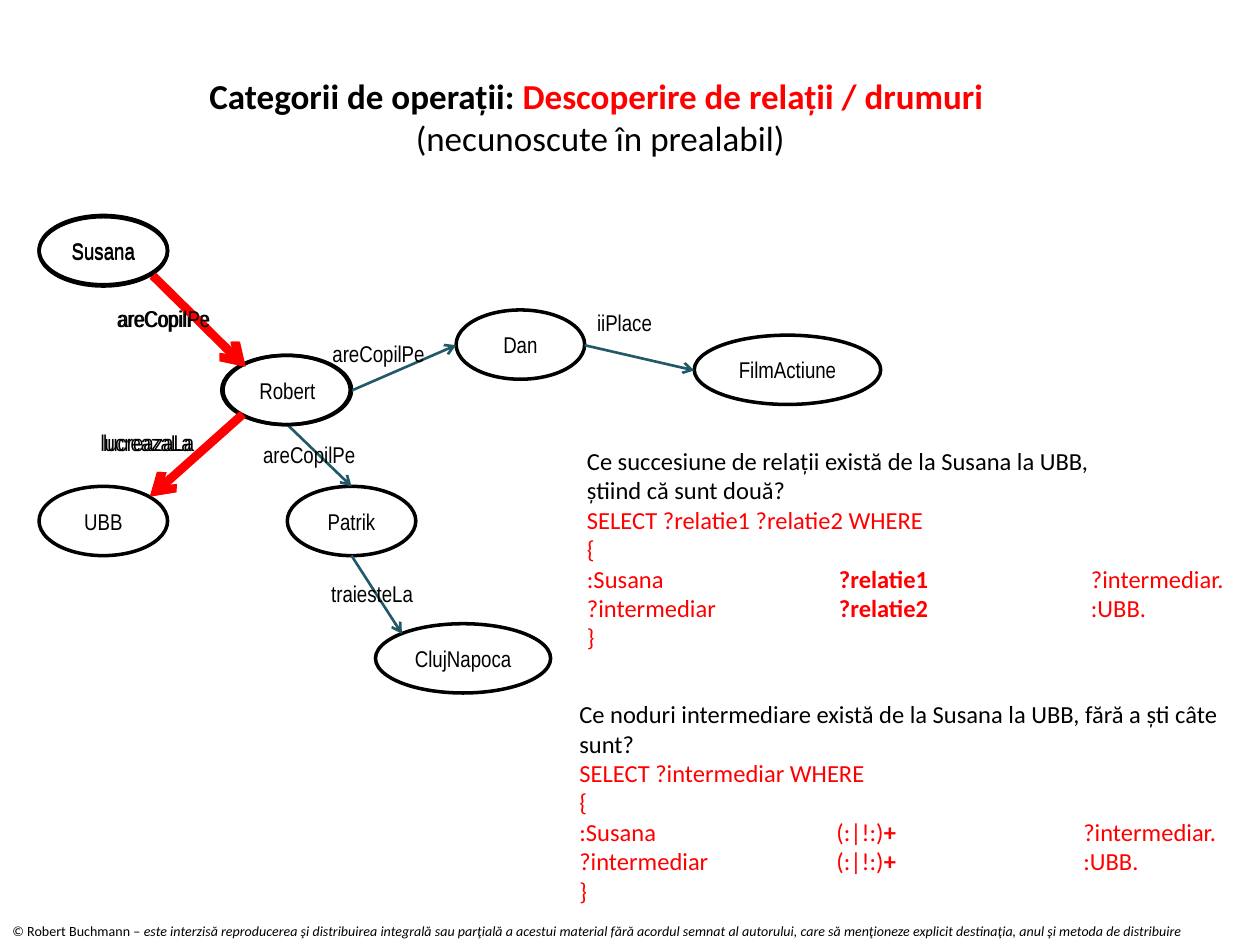
from dataclasses import dataclass

from lxml import etree
from pptx import Presentation
from pptx import util as u
from pptx.dml.color import RGBColor
from pptx.enum import shapes, text
from pptx.oxml.ns import qn

BLACK, RED, TEAL = "000000", "FF0000", "215968"
NODE_HEIGHT = 0.55
LABEL_HEIGHT = 0.32


@dataclass
class Node:
    name: str
    left: float
    top: float
    width: float = 1.02


@dataclass
class Edge:
    start: tuple[float, float]
    end: tuple[float, float]
    color: str = TEAL
    weight: float = 1.5


@dataclass
class Label:
    wording: str
    left: float
    top: float
    width: float = 1.21


@dataclass
class Piece:
    """A stretch of text with one format."""
    wording: str
    color: str = BLACK
    bold: bool = False
    italic: bool = False


NODES = [
    Node("Robert", 1.77, 2.82),
    Node("Dan", 3.62, 2.46),
    Node("FilmActiune", 5.51, 2.66, 1.48),
    Node("Susana", 0.31, 1.71),
    Node("ClujNapoca", 2.98, 4.95, 1.39),
    Node("Patrik", 2.28, 3.86),
]
EDGES = [
    Edge((1.19, 2.18), (1.92, 2.9)),
    Edge((2.79, 3.1), (3.62, 2.74)),
    Edge((4.64, 2.74), (5.51, 2.94)),
    Edge((2.28, 3.37), (2.79, 3.86)),
    Edge((1.92, 3.29), (1.19, 3.94)),
    Edge((2.79, 4.41), (3.19, 5.03)),
]
LABELS = [
    Label("areCopilPe", 2.54, 2.65),
    Label("areCopilPe", 0.83, 2.37),
    Label("areCopilPe", 1.99, 3.45),
    Label("lucreazaLa", 0.7, 3.35),
    Label("traiesteLa", 2.53, 4.55),
    Label("iiPlace", 4.64, 2.4, 1.69),
]

# The path from Susana to UBB, emphasised on top of the graph
PATH_EDGES = [
    Edge((1.21 + shift, 2.19), (1.94 + shift, 2.91), RED, 4.5) for shift in (0, 0.01)
] + [
    Edge((1.92 + shift, 3.29), (1.19 + shift, 3.94), RED, 4.5) for shift in (0, 0.01)
]
PATH_LABELS = [Label("lucreazaLa", 0.72, 3.35), Label("areCopilPe", 0.84, 2.37)]
PATH_NODES = [
    Node("Susana", 0.31, 1.72),
    Node("UBB", 0.31, 3.86),
    Node("", 1.76, 2.82),
]

TITLE = [
    [Piece("Categorii de operații: ", bold=True),
     Piece("Descoperire de relații / drumuri ", RED, bold=True)],
    [Piece("(necunoscute în prealabil)")],
]
FOOTER = [[
    Piece("© Robert Buchmann – "),
    Piece("este interzisă reproducerea şi distribuirea integrală sau parţială a acestui "
          "material fără acordul semnat al autorului, care să menţioneze explicit "
          "destinaţia, anul şi metoda de distribuire", italic=True),
]]
KNOWN_LENGTH_QUERY = [
    [Piece("Ce succesiune de relații există de la Susana la UBB,")],
    [Piece("știind că sunt două?")],
    [Piece("SELECT ?relatie1 ?relatie2 WHERE", RED)],
    [Piece("{", RED)],
    [Piece(":Susana\t", RED), Piece("?relatie1", RED, True), Piece("\t?intermediar.", RED)],
    [Piece("?intermediar\t", RED), Piece("?relatie2", RED, True), Piece("\t:UBB.", RED)],
    [Piece("}", RED)],
]
ANY_LENGTH_QUERY = [
    [Piece("Ce noduri intermediare există de la Susana la UBB, fără a ști câte sunt?")],
    [Piece("SELECT ?intermediar WHERE", RED)],
    [Piece("{", RED)],
    [Piece(":Susana\t(:|!:)", RED), Piece("+", RED, True), Piece("\t?intermediar.", RED)],
    [Piece("?intermediar\t(:|!:)", RED), Piece("+", RED, True), Piece("\t:UBB.", RED)],
    [Piece("}", RED)],
]


def rgb(color: str) -> RGBColor:
    return RGBColor.from_string(color)


def set_tab_stops(paragraph, stops: tuple[float, ...]) -> None:
    tab_list = etree.SubElement(paragraph._p.get_or_add_pPr(), qn("a:tabLst"))
    for stop in stops:
        etree.SubElement(tab_list, qn("a:tab"), pos=str(u.Inches(stop)), algn="l")


def write(frame, lines: list[list[Piece]], size: float, font: str = "Calibri",
          alignment=text.PP_ALIGN.LEFT, stops: tuple[float, ...] = ()) -> None:
    """Fill a text frame with one paragraph per line of pieces."""
    for index, pieces in enumerate(lines):
        paragraph = frame.add_paragraph() if index else frame.paragraphs[0]
        paragraph.alignment = alignment
        if stops and len(pieces) > 1:
            set_tab_stops(paragraph, stops)
        for piece in pieces:
            run = paragraph.add_run()
            run.text = piece.wording
            run.font.name = font
            run.font.size = u.Pt(size)
            run.font.bold = piece.bold
            run.font.italic = piece.italic
            run.font.color.rgb = rgb(piece.color)


def add_text(slide, left: float, top: float, width: float, height: float,
             lines: list[list[Piece]], size: float, **style) -> None:
    box = slide.shapes.add_textbox(*map(u.Inches, (left, top, width, height)))
    box.text_frame.word_wrap = True
    write(box.text_frame, lines, size, **style)


def add_node(slide, node: Node) -> None:
    ellipse = slide.shapes.add_shape(
        shapes.MSO_SHAPE.OVAL,
        *map(u.Inches, (node.left, node.top, node.width, NODE_HEIGHT)))
    ellipse.shadow.inherit = False
    ellipse.fill.background()
    ellipse.line.color.rgb = rgb(BLACK)
    ellipse.line.width = u.Pt(2)
    if node.name:
        frame = ellipse.text_frame
        frame.word_wrap = False
        frame.vertical_anchor = text.MSO_ANCHOR.MIDDLE
        write(frame, [[Piece(node.name)]], 13, "Arial Narrow", text.PP_ALIGN.CENTER)


def add_edge(slide, edge: Edge) -> None:
    connector = slide.shapes.add_connector(
        shapes.MSO_CONNECTOR.STRAIGHT, *map(u.Inches, edge.start + edge.end))
    connector.line.color.rgb = rgb(edge.color)
    connector.line.width = u.Pt(edge.weight)
    etree.SubElement(connector.line._get_or_add_ln(), qn("a:tailEnd"), type="arrow")
    etree.SubElement(connector._element.spPr, qn("a:effectLst"))


def add_label(slide, label: Label) -> None:
    add_text(slide, label.left, label.top, label.width, LABEL_HEIGHT,
             [[Piece(label.wording)]], 13, font="Arial Narrow")


def add_title(slide) -> None:
    title = slide.shapes.title
    title.left, title.top, title.width, title.height = map(u.Inches, (0.12, 0.54, 9.29, 0.77))
    title.text_frame.auto_size = text.MSO_AUTO_SIZE.NONE
    title.text_frame.vertical_anchor = text.MSO_ANCHOR.TOP
    write(title.text_frame, TITLE, 20, alignment=text.PP_ALIGN.CENTER)


def main() -> None:
    presentation = Presentation()
    presentation.slide_width, presentation.slide_height = u.Inches(10), u.Inches(7.5)
    slide = presentation.slides.add_slide(presentation.slide_layouts[5])

    add_title(slide)
    add_text(slide, 0, 7.27, 10.01, 0.24, FOOTER, 8)
    for nodes, edges, labels in ((NODES, EDGES, LABELS),
                                 (PATH_NODES, PATH_EDGES, PATH_LABELS)):
        for node in nodes:
            add_node(slide, node)
        for edge in edges:
            add_edge(slide, edge)
        for label in labels:
            add_label(slide, label)
    add_text(slide, 4.56, 3.49, 6.48, 2.46, KNOWN_LENGTH_QUERY, 14, stops=(2, 4))
    add_text(slide, 4.5, 5.5, 5.5, 2.46, ANY_LENGTH_QUERY, 14, stops=(2.04, 4))
    presentation.save("out.pptx")


if __name__ == "__main__":
    main()
